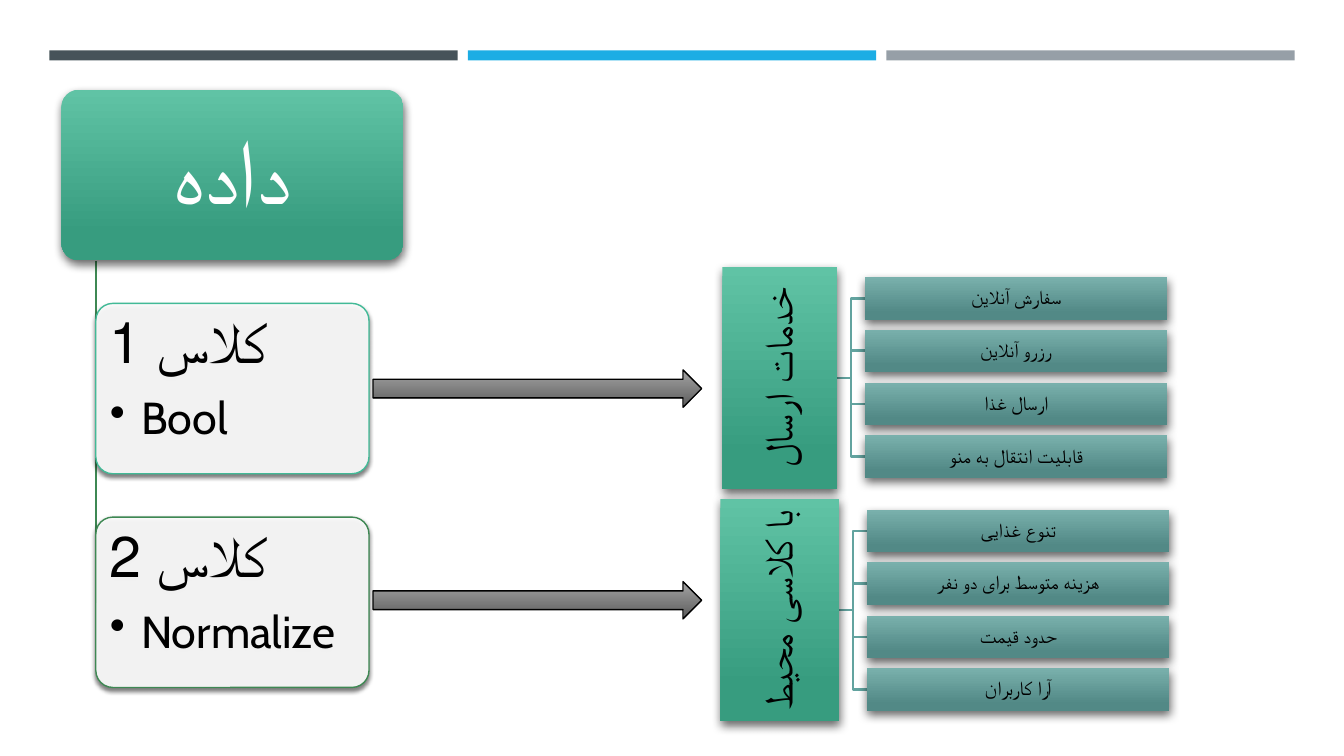
from lxml.etree import SubElement
from pptx import Presentation
from pptx.dml.color import RGBColor
from pptx.enum.shapes import MSO_CONNECTOR, MSO_SHAPE
from pptx.enum.text import MSO_ANCHOR, PP_ALIGN
from pptx.oxml.ns import qn
from pptx.util import Emu, Pt

PX = 9144
THEME = {
    "font": "Cabin",
    "bars": ["465359", "1CADE4", "969FA7"],
    "green": ["60C3A5", "379C7F"],
    "teal": ["79B0AC", "528986"],
    "gray": ["9B9B9B", "595959"],
    "white": "FFFFFF",
    "black": "000000",
    "stem": "3E8853",
    "link": "62A39F",
    "edges": ["42BA97", "3E8853"],
    "root": 65,
    "class": 41,
    "bullet": 32,
    "group": 28,
    "leaf": 14,
}


def box(kind, at, tones, stop=0.84, alpha=100, edge=None, shade=None):
    shape = slide.shapes.add_shape(kind, *[Emu(n * PX) for n in at])
    shape.shadow.inherit = False
    props = shape._element.spPr
    if len(tones) == 2:
        shape.fill.gradient()
        shape.fill.gradient_angle = 270
        for tone, spot, place in zip(tones, shape.fill.gradient_stops, (0, stop)):
            spot.color.rgb = RGBColor.from_string(tone)
            spot.position = place
        props.find(qn("a:gradFill")).set("rotWithShape", "0")
    else:
        shape.fill.solid()
        shape.fill.fore_color.rgb = RGBColor.from_string(tones[0])
    if alpha < 100:
        first = next(props.iter(qn("a:srgbClr")))
        SubElement(first, qn("a:alpha"), val=str(alpha * 1000))
    if edge:
        shape.line.color.rgb = RGBColor.from_string(edge)
        shape.line.width = Pt(1)
    else:
        shape.line.fill.background()
    if shade:
        fade, blur, drop, turn = shade
        cast = SubElement(props.find(qn("a:effectLst")), qn("a:outerShdw"),
                          blurRad=str(Pt(blur)), dist=str(Pt(drop)),
                          dir=str(turn * 60000), rotWithShape="0")
        color = SubElement(cast, qn("a:srgbClr"), val=THEME["black"])
        SubElement(color, qn("a:alpha"), val=str(fade * 1000))
    return shape


def write(shape, lines, sizes, color, pads, align=PP_ALIGN.CENTER, anchor=MSO_ANCHOR.MIDDLE):
    frame = shape.text_frame
    frame.word_wrap = True
    frame.vertical_anchor = anchor
    frame.margin_left = frame.margin_right = Emu(pads[0] * PX)
    frame.margin_top = frame.margin_bottom = Emu(pads[1] * PX)
    frame.text = "\n".join(lines)
    for para, size in zip(frame.paragraphs, sizes):
        para.alignment = align
        para.line_spacing = 0.9
        for run in para.runs:
            run.font.name = THEME["font"]
            run.font.size = Pt(size)
            run.font.color.rgb = RGBColor.from_string(color)


deck = Presentation()
deck.slide_width, deck.slide_height = Emu(1333 * PX), Emu(750 * PX)
slide = deck.slides.add_slide(deck.slide_layouts[6])
deep, soft = (60, 7, 3, 84), (55, 3, 2, 90)

for i, tone in enumerate(THEME["bars"]):
    box(MSO_SHAPE.RECTANGLE, (49 + 415 * i, 50, 405, 10), [tone])

root = box(MSO_SHAPE.ROUNDED_RECTANGLE, (61, 89, 339, 169), THEME["green"], shade=deep)
root.adjustments[0] = 0.1
write(root, ["داده"], [THEME["root"]], THEME["white"], (14, 9))

wires = []
classes = [("کلاس 1", "Bool"), ("کلاس 2", "Normalize")]
for i, lines in enumerate(classes):
    top = 301 + 212 * i
    wires.append((MSO_CONNECTOR.STRAIGHT, (95, 259, 95, top + 85), THEME["stem"]))
    card = box(MSO_SHAPE.ROUNDED_RECTANGLE, (95, top, 271, 169), [THEME["white"]],
               alpha=90, edge=THEME["edges"][i], shade=soft)
    card.adjustments[0] = 0.1
    write(card, lines, [THEME["class"], THEME["bullet"]], THEME["black"], (9, 6),
          PP_ALIGN.LEFT, MSO_ANCHOR.TOP)
    head, item = card.text_frame.paragraphs
    head.space_after = Pt(14)
    item.level = 1
    props = item._p.get_or_add_pPr()
    props.set("marL", str(31 * PX))
    props.set("indent", str(-31 * PX))
    SubElement(props, qn("a:buChar"), char="•")
    arrow = box(MSO_SHAPE.RIGHT_ARROW, (370, 367 + 210 * i, 326, 37), THEME["gray"],
                stop=1, alpha=90, edge=THEME["black"])

groups = [
    ("خدمات ارسال", 318, 114, 858, 275,
     ["سفارش آنلاین", "رزرو آنلاین", "ارسال غذا", "قابلیت انتقال به منو"]),
    ("با کلاسی محیط", 546, 118, 860, 506,
     ["تنوع غذایی", "هزینه متوسط برای دو نفر", "حدود قیمت", "آرا کاربران"]),
]
for name, top, high, left, start, leaves in groups:
    hub = box(MSO_SHAPE.RECTANGLE, (663, top, 221, high), THEME["green"], shade=deep)
    hub.rotation = 270
    write(hub, [name], [THEME["group"]], THEME["black"], (2, 2))
    for i, label in enumerate(leaves):
        y = start + i * 105 // 2
        leaf = box(MSO_SHAPE.RECTANGLE, (left, y, 300, 42), THEME["teal"], shade=deep)
        write(leaf, [label], [THEME["leaf"]], THEME["black"], (1, 1))
        wires.append((MSO_CONNECTOR.ELBOW, (left - 28, top + high // 2, left, y + 21),
                      THEME["link"]))

for kind, ends, tone in wires:
    wire = slide.shapes.add_connector(kind, *[Emu(n * PX) for n in ends])
    wire.line.color.rgb = RGBColor.from_string(tone)
    wire.line.width = Pt(1.75)
    SubElement(wire._element.spPr, qn("a:effectLst"))
    slide.shapes._spTree.insert(2, wire._element)

deck.save("out.pptx")
